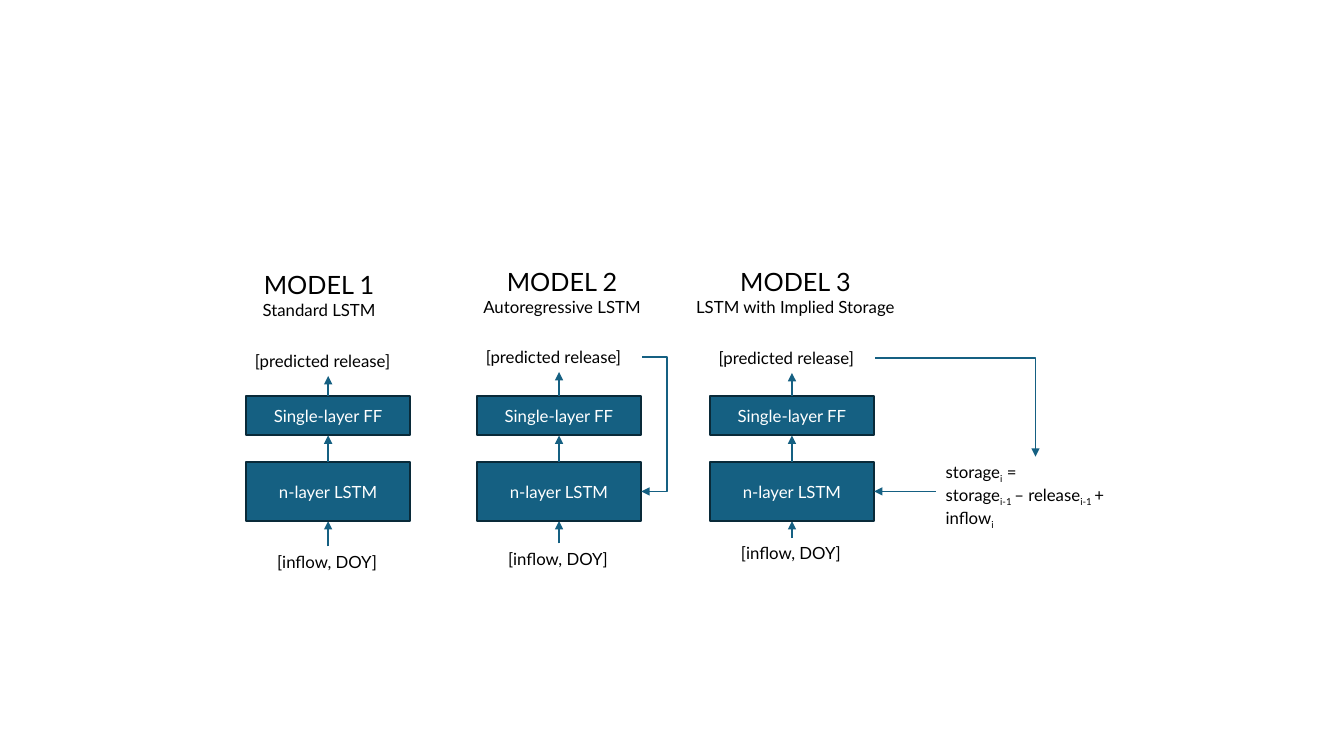
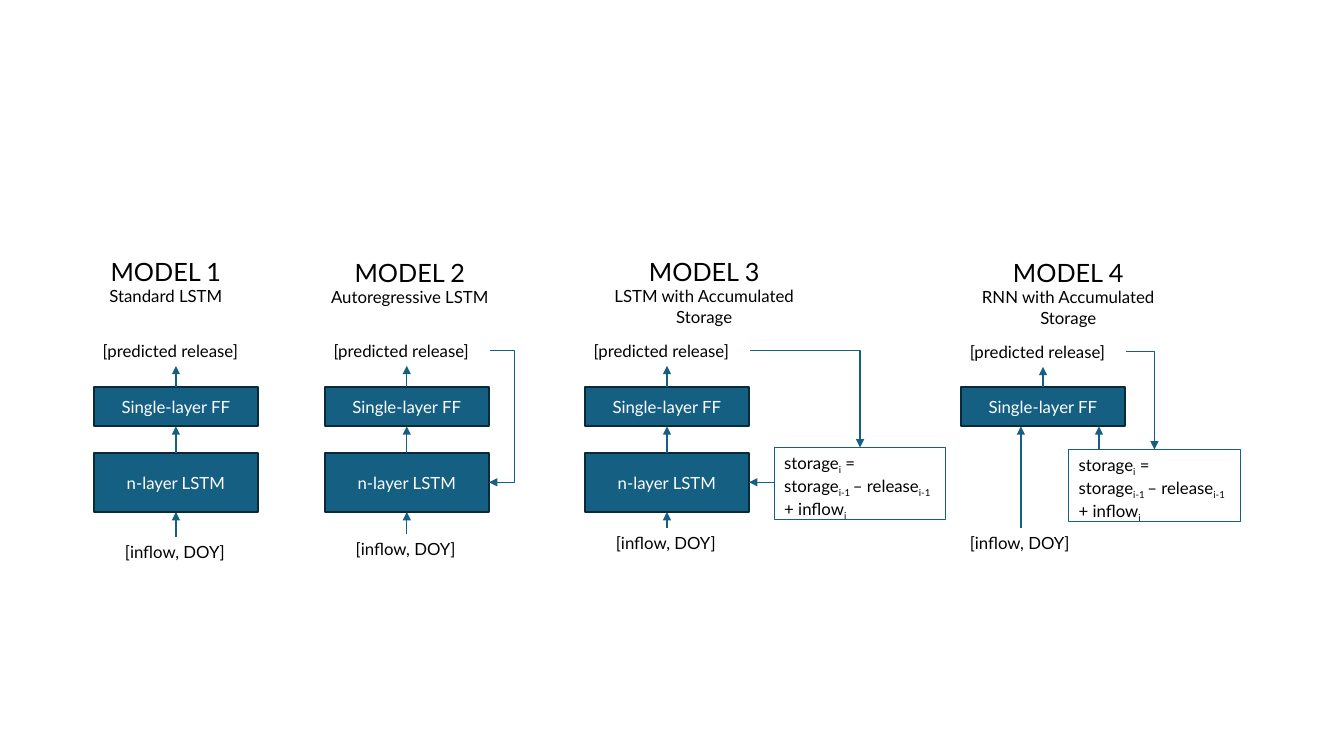
from dataclasses import dataclass
from typing import Optional

from pptx import Presentation
from pptx.dml.color import RGBColor
from pptx.enum.shapes import MSO_CONNECTOR, MSO_SHAPE
from pptx.enum.text import MSO_ANCHOR, PP_ALIGN
from pptx.oxml.ns import qn
from pptx.util import Inches, Pt
from lxml.etree import SubElement

BLUE = RGBColor(0x15, 0x60, 0x82)
NAVY = RGBColor(0x09, 0x2A, 0x39)
WHITE = RGBColor(0xFF, 0xFF, 0xFF)
BLACK = RGBColor(0, 0, 0)
FONT = "Lato"

# Lengths in inches
LAYER_W, FF_H, LSTM_H, LAYER_GAP = 1.63, 0.39, 0.59, 0.26
LABEL_H, RELEASE_W, INFLOW_W = 0.3, 1.65, 1.21
HEADING_H, STORAGE_H = 0.61, 0.71
LOOP_REACH = 0.25

RELEASE, INFLOW = "[predicted release]", "[inflow, DOY]"
# Each line is a list of (text, is subscript)
STORAGE_LINES = [
    [("storage", False), ("i", True), (" =", False)],
    [("storage", False), ("i-1 ", True), ("– release", False),
     ("i-1 ", True), ("+ inflow", False), ("i", True)],
]


@dataclass
class Storage:
    left: float
    top: float
    width: float
    bordered: bool = True


@dataclass
class Model:
    title: str
    subtitle: str
    left: float
    heading: tuple  # left, top, width
    release_top: float
    inflow_top: float
    inflow_shift: float = 0.21
    has_lstm: bool = True
    autoregressive: bool = False
    storage: Optional[Storage] = None


# Top of the feed-forward layers, then the models of the slide
SLIDES = [
    (3.93, [
        Model("MODEL 1", "Standard LSTM", 2.44, (2.47, 2.62, 1.39), 3.43, 5.42),
        Model("MODEL 2", "Autoregressive LSTM", 4.73, (4.66, 2.59, 1.83), 3.39, 5.39,
              autoregressive=True),
        Model("MODEL 3", "LSTM with Implied Storage", 7.04, (6.76, 2.59, 2.26), 3.4, 5.34,
              storage=Storage(9.28, 4.53, 1.98, bordered=False)),
    ]),
    (3.84, [
        Model("MODEL 1", "Standard LSTM", 0.93, (0.95, 2.49, 1.39), 3.33, 5.33),
        Model("MODEL 2", "Autoregressive LSTM", 3.22, (3.15, 2.5, 1.83), 3.33, 5.3,
              autoregressive=True),
        Model("MODEL 3", "LSTM with Accumulated Storage", 5.8, (5.72, 2.49, 2.53), 3.33, 5.24,
              storage=Storage(7.68, 4.44, 1.7)),
        Model("MODEL 4", "RNN with Accumulated Storage", 9.53, (9.35, 2.5, 2.49), 3.34, 5.24,
              inflow_shift=-0.01, has_lstm=False, storage=Storage(10.6, 4.46, 1.7)),
    ]),
]


def style_runs(paragraph, size=12, color=BLACK):
    for run in paragraph.runs:
        run.font.name = FONT
        run.font.size = Pt(size)
        run.font.color.rgb = color


def add_layer(slide, name, left, top, height):
    layer = slide.shapes.add_shape(MSO_SHAPE.RECTANGLE, Inches(left), Inches(top),
                                   Inches(LAYER_W), Inches(height))
    layer.shadow.inherit = False
    layer.fill.solid()
    layer.fill.fore_color.rgb = BLUE
    layer.line.color.rgb = NAVY
    layer.line.width = Pt(1.5)
    frame = layer.text_frame
    frame.text = name
    frame.vertical_anchor = MSO_ANCHOR.MIDDLE
    frame.paragraphs[0].alignment = PP_ALIGN.CENTER
    style_runs(frame.paragraphs[0], color=WHITE)


def add_text_box(slide, left, top, width, height):
    box = slide.shapes.add_textbox(Inches(left), Inches(top), Inches(width), Inches(height))
    box.text_frame.word_wrap = True
    return box


def add_label(slide, text, left, top, width):
    frame = add_text_box(slide, left, top, width, LABEL_H).text_frame
    frame.text = text
    style_runs(frame.paragraphs[0])


def add_heading(slide, model):
    frame = add_text_box(slide, *model.heading, HEADING_H).text_frame
    frame.text = f"{model.title}\n{model.subtitle}"
    for paragraph, size in zip(frame.paragraphs, (18, 12)):
        paragraph.alignment = PP_ALIGN.CENTER
        style_runs(paragraph, size)


def add_storage(slide, storage):
    box = add_text_box(slide, storage.left, storage.top, storage.width, STORAGE_H)
    if storage.bordered:
        box.line.color.rgb = BLUE
        box.line.width = Pt(0.75)
    frame = box.text_frame
    for index, pieces in enumerate(STORAGE_LINES):
        paragraph = frame.add_paragraph() if index else frame.paragraphs[0]
        for text, subscript in pieces:
            run = paragraph.add_run()
            run.text = text
            if subscript:
                run._r.get_or_add_rPr().set("baseline", "-25000")
        style_runs(paragraph)


def add_arrow(slide, start, end, bend=None, adjust=None):
    """Draw an arrow; bend names a bent preset, adjust places its middle leg."""
    kind = MSO_CONNECTOR.ELBOW if bend else MSO_CONNECTOR.STRAIGHT
    arrow = slide.shapes.add_connector(kind, *(Inches(v) for v in (*start, *end)))
    arrow.line.color.rgb = BLUE
    arrow.line.width = Pt(1)
    properties = arrow._element.spPr
    SubElement(arrow.line._get_or_add_ln(), qn("a:tailEnd"), type="triangle")
    SubElement(properties, qn("a:effectLst"))
    if bend:
        geometry = properties.find(qn("a:prstGeom"))
        geometry.set("prst", bend)
        if adjust is not None:
            SubElement(geometry.find(qn("a:avLst")), qn("a:gd"),
                       name="adj1", fmla=f"val {round(adjust * 100000)}")


def add_model(slide, model, ff_top):
    center = model.left + LAYER_W / 2
    right = model.left + LAYER_W
    ff_bottom = ff_top + FF_H
    lstm_top = ff_bottom + LAYER_GAP
    lstm_middle = lstm_top + LSTM_H / 2
    inflow_left = model.left + model.inflow_shift
    inflow_center = inflow_left + INFLOW_W / 2
    input_bottom = lstm_top + LSTM_H if model.has_lstm else ff_bottom
    loop_start = (right + 0.01, model.release_top + LABEL_H / 2)

    add_heading(slide, model)
    add_label(slide, RELEASE, model.left - 0.01, model.release_top, RELEASE_W)
    add_label(slide, INFLOW, inflow_left, model.inflow_top, INFLOW_W)
    add_layer(slide, "Single-layer FF", model.left, ff_top, FF_H)
    add_arrow(slide, (center, ff_top), (center, model.release_top + LABEL_H))
    add_arrow(slide, (inflow_center, model.inflow_top), (inflow_center, input_bottom))
    if model.has_lstm:
        add_layer(slide, "n-layer LSTM", model.left, lstm_top, LSTM_H)
        add_arrow(slide, (center, lstm_top), (center, ff_bottom))
    if model.autoregressive:
        add_arrow(slide, loop_start, (right, lstm_middle), "bentConnector3",
                  LOOP_REACH / (right - loop_start[0]))
    if model.storage:
        storage = model.storage
        add_storage(slide, storage)
        add_arrow(slide, loop_start, (storage.left + storage.width / 2, storage.top),
                  "bentConnector2")
        if model.has_lstm:
            add_arrow(slide, (storage.left, lstm_middle), (right, lstm_middle))
        else:
            feed_x = storage.left + 0.3
            add_arrow(slide, (feed_x, storage.top), (feed_x, ff_bottom))


def main():
    deck = Presentation()
    deck.slide_width, deck.slide_height = Inches(13.33), Inches(7.5)
    blank = deck.slide_layouts[6]
    for ff_top, models in SLIDES:
        slide = deck.slides.add_slide(blank)
        for model in models:
            add_model(slide, model, ff_top)
    deck.save("out.pptx")


if __name__ == "__main__":
    main()
